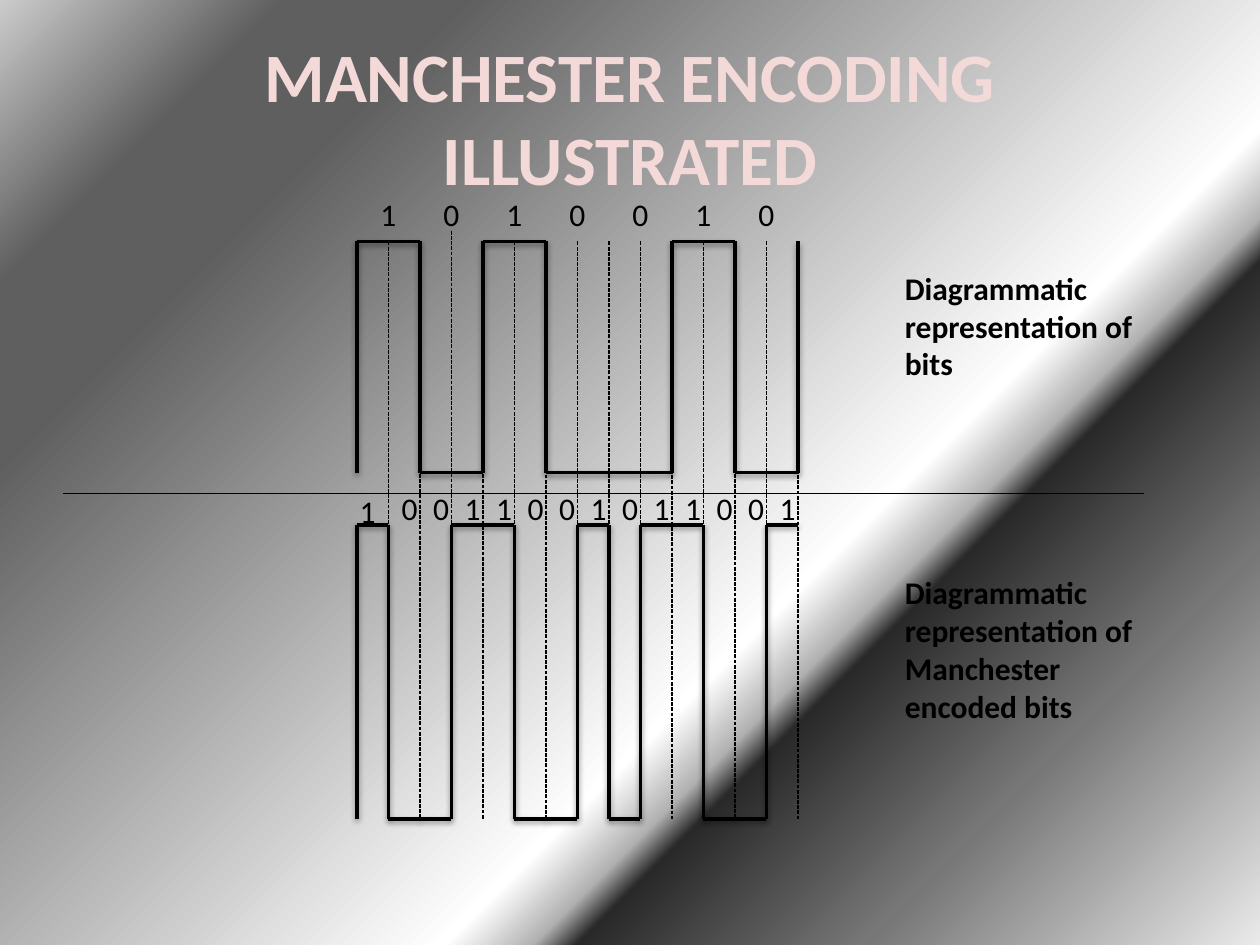
from dataclasses import dataclass

from lxml import etree
from pptx import Presentation
from pptx.dml.color import RGBColor
from pptx.enum.dml import MSO_LINE
from pptx.enum.shapes import MSO_CONNECTOR
from pptx.enum.text import MSO_ANCHOR, PP_ALIGN
from pptx.oxml.ns import qn
from pptx.util import Pt

STRAIGHT = MSO_CONNECTOR.STRAIGHT
DASH = MSO_LINE.SQUARE_DOT
CENTER, LEFT = PP_ALIGN.CENTER, PP_ALIGN.LEFT
TOP, MIDDLE = MSO_ANCHOR.TOP, MSO_ANCHOR.MIDDLE


@dataclass(frozen=True)
class Theme:
    """Colours, type sizes and line weights of the slide."""
    font: str = "Calibri"
    title_color: str = "F3D9D8"
    ink: str = "000000"
    title_size: float = 39.6
    body_size: float = 18
    thin: float = 0.75
    thick: float = 2
    background: tuple = (
        (0, "CBCBCB"), (13, "5F5F5F"), (21, "5F5F5F"), (63, "FFFFFF"),
        (67, "B2B2B2"), (69, "292929"), (82, "777777"), (100, "EAEAEA"))


THEME = Theme()
BITS = "1010010"
MANCHESTER = {"1": "10", "0": "01"}
ENCODED = "".join(MANCHESTER[bit] for bit in BITS)
GUIDE_TOPS = (138, 144, 132, 156, 138, 168, 138,
              138, 138, 192, 138, 203, 138, 186)


def paint_background(s):
    """Fill the slide with the diagonal grey gradient."""
    fill = s.background.fill
    fill.gradient()
    fill.gradient_angle = 315
    stops = s.element.find(".//" + qn("a:gsLst"))
    stops.clear()
    for position, color in THEME.background:
        stop = etree.SubElement(stops, qn("a:gs"), pos=str(position * 1000))
        etree.SubElement(stop, qn("a:srgbClr"), val=color)


def add_text(s, box, text, size=THEME.body_size, color=THEME.ink,
             bold=False, align=LEFT, anchor=TOP):
    """Place one paragraph of text in a box."""
    tf = s.shapes.add_textbox(*map(Pt, box)).text_frame
    tf.word_wrap = True
    tf.vertical_anchor = anchor
    p = tf.paragraphs[0]
    p.alignment = align
    r = p.add_run()
    r.text = text
    formats = {"name": THEME.font, "size": Pt(size), "bold": bold}
    for name, value in formats.items():
        setattr(r.font, name, value)
    r.font.color.rgb = RGBColor.from_string(color)


def add_line(s, start, end, width=THEME.thin, dash=None, shadow=False):
    """Draw a straight line, with a soft drop shadow on request."""
    line = s.shapes.add_connector(STRAIGHT, *map(Pt, (*start, *end)))
    line.line.color.rgb = RGBColor.from_string(THEME.ink)
    line.line.width = Pt(width)
    line.line.dash_style = dash
    effects = etree.SubElement(line.element.spPr, qn("a:effectLst"))
    if shadow:
        outer = etree.SubElement(
            effects, qn("a:outerShdw"), blurRad=str(Pt(3.1)),
            dist=str(Pt(1.6)), dir="5400000", rotWithShape="0")
        tint = etree.SubElement(outer, qn("a:srgbClr"), val=THEME.ink)
        etree.SubElement(tint, qn("a:alpha"), val="38000")


def add_guides(s, box):
    """Draw the dashed half-bit guides down to the foot of the box."""
    left, _, width, foot = box
    step = width / len(GUIDE_TOPS)
    for i, top in enumerate(GUIDE_TOPS, 1):
        x = left + i * step
        add_line(s, (x, top), (x, foot), dash=DASH)


def add_wave(s, box, levels, closed=False):
    """Trace a square wave through the box, one step per level."""
    left, top, width, height = box
    step = width / len(levels)
    low = top + height
    previous = None
    for i, level in enumerate(levels):
        x = left + i * step
        y = top if level == "1" else low
        if level != previous:
            add_line(s, (x, low), (x, top), THEME.thick, shadow=True)
        add_line(s, (x, y), (x + step, y), THEME.thick, shadow=True)
        previous = level
    if closed:
        right = left + width
        add_line(s, (right, low), (right, top), THEME.thick, shadow=True)


def add_digits(s, box, digits, step, first_shift=(0, 0)):
    """Repeat the label box at equal steps, nudging the first label."""
    left, top, width, height = box
    for i, digit in enumerate(digits):
        dx, dy = (0, 0) if i else first_shift
        cell = (left + i * step + dx, top + dy, width, height)
        add_text(s, cell, digit, align=CENTER)


def main():
    """Build and save the slide."""
    prs = Presentation()
    prs.slide_width, prs.slide_height = Pt(720), Pt(540)
    s = prs.slides.add_slide(prs.slide_layouts[6])
    paint_background(s)
    add_text(s, (36, 21.6, 648, 90), "MANCHESTER ENCODING ILLUSTRATED",
             THEME.title_size, THEME.title_color, True, CENTER, MIDDLE)
    add_line(s, (36, 282), (654, 282))
    add_guides(s, (204, 138, 252, 468))
    add_wave(s, (204, 138, 252, 132), BITS, closed=True)
    add_wave(s, (204, 300, 252, 168), ENCODED)
    add_digits(s, (204, 108, 36, 29), BITS, 36)
    add_digits(s, (204, 276, 24, 29), ENCODED, 18, first_shift=(-6, 1.4))
    add_text(s, (510, 150, 150, 73),
             "Diagrammatic representation of bits", bold=True)
    add_text(s, (510, 324, 150, 94),
             "Diagrammatic representation of Manchester encoded bits",
             bold=True)
    prs.save("out.pptx")


if __name__ == "__main__":
    main()
